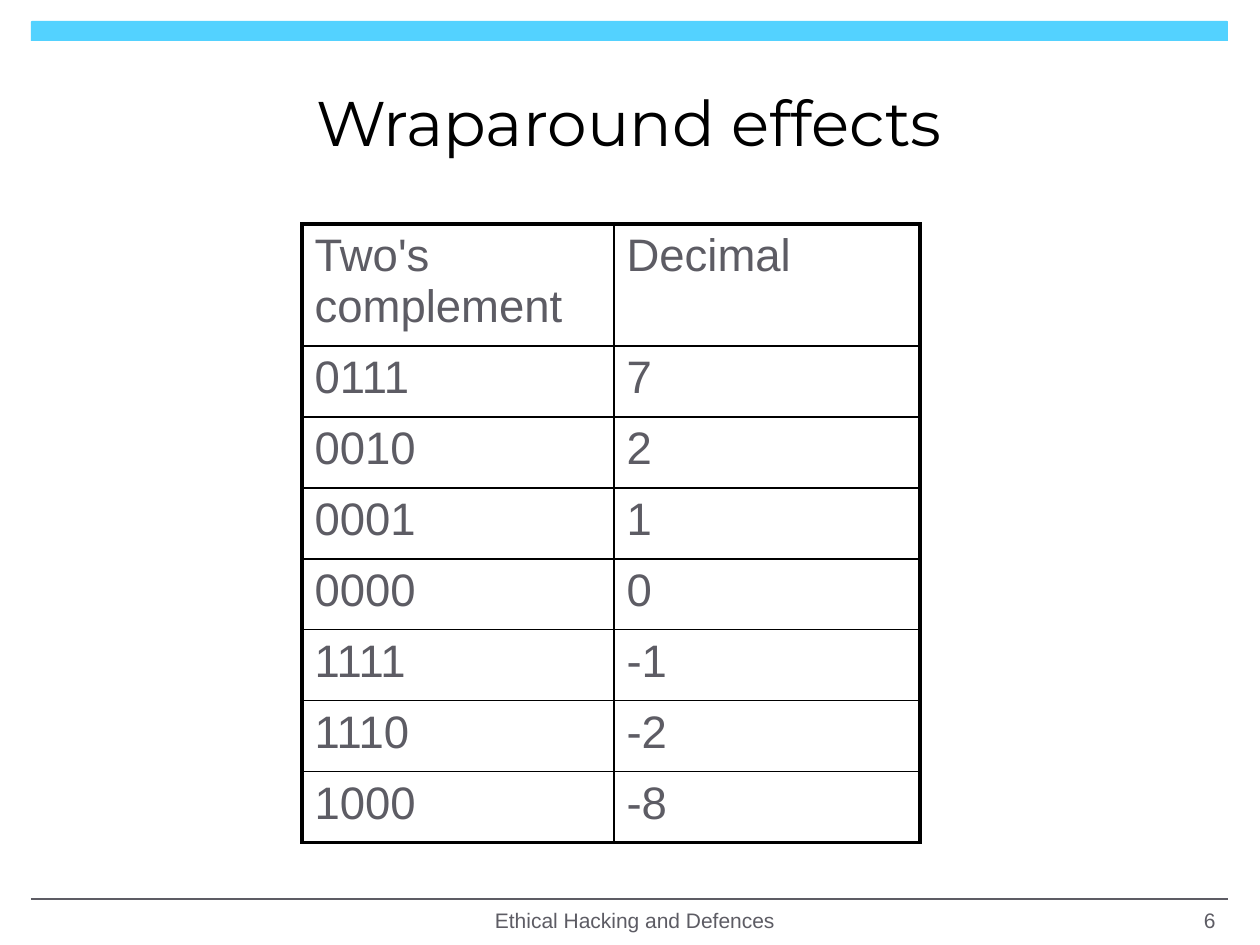
import pptx
import pptx.util
import pptx.dml.color
import pptx.enum.shapes
import pptx.enum.text
import pptx.oxml

SCALE = 914400 / 126
GREY = "5D5C64"
BLACK = "000000"
ALIGN = pptx.enum.text.PP_ALIGN
MIDDLE = pptx.enum.text.MSO_ANCHOR.MIDDLE
ROWS = [
    ("Two's complement", "Decimal"),
    ("0111", "7"),
    ("0010", "2"),
    ("0001", "1"),
    ("0000", "0"),
    ("1111", "-1"),
    ("1110", "-2"),
    ("1000", "-8"),
]


def px(size):
    return pptx.util.Emu(round(size * SCALE))


def color(code):
    return pptx.dml.color.RGBColor.from_string(code)


def write(frame, text, size, font="Arial", code=GREY, align=ALIGN.LEFT):
    frame.word_wrap = True
    para = frame.paragraphs[0]
    para.alignment = align
    run = para.add_run()
    run.text = text
    run.font.name = font
    run.font.size = pptx.util.Pt(size)
    run.font.bold = False
    run.font.color.rgb = color(code)


def label(slide, box, text, align):
    frame = slide.shapes.add_textbox(*map(px, box)).text_frame
    frame.vertical_anchor = MIDDLE
    write(frame, text, 12, align=align)


def header(slide, box):
    left, top, width, height = box
    kind = pptx.enum.shapes.MSO_SHAPE.ROUND_2_SAME_RECTANGLE
    bar = slide.shapes.add_shape(kind, px(left), px(top), px(width), px(20))
    bar.adjustments[0] = 0.05
    bar.adjustments[1] = 0
    bar.shadow.inherit = False
    bar.fill.solid()
    bar.fill.fore_color.rgb = color("53D2FF")
    bar.line.fill.background()

    title = slide.shapes.title
    title.left, title.top = px(left + 10), px(top + 37)
    title.width, title.height = px(width - 21), px(height - 37)
    title.text_frame.vertical_anchor = MIDDLE
    write(title.text_frame, "Wraparound effects", 36, "Montserrat", BLACK, ALIGN.CENTER)


def footer(slide, box):
    left, top, width, height = box
    kind = pptx.enum.shapes.MSO_CONNECTOR.STRAIGHT
    rule = slide.shapes.add_connector(kind, px(left), px(top), px(left + width), px(top))
    rule.line.color.rgb = color(GREY)
    rule.line.width = pptx.util.Pt(1)
    props = rule._element.spPr
    props.append(props.makeelement(pptx.oxml.ns.qn("a:effectLst"), {}))
    label(slide, (left + 368, top - 1, 472, height), "Ethical Hacking and Defences", ALIGN.CENTER)
    label(slide, (left + width - 294, top - 1, 294, height), "6", ALIGN.RIGHT)


def border(cell, side, points):
    space = pptx.oxml.ns.nsdecls("a")
    width = pptx.util.Pt(points)
    return pptx.oxml.parse_xml(
        f'<a:{side} {space} w="{width}"><a:solidFill><a:srgbClr val="{BLACK}"/>'
        f'</a:solidFill><a:prstDash val="solid"/></a:{side}>'
    )


def grid(slide, box):
    left, top, width, height = box
    count = len(ROWS)
    table = slide.shapes.add_table(count, 2, *map(px, box)).table
    table.first_row = False
    table.horz_banding = False
    table.columns[0].width = px(312)
    table.columns[1].width = px(width - 312)
    body = 71
    for row in table.rows:
        row.height = px(body)
    table.rows[0].height = px(height - body * (count - 1))

    for down, texts in enumerate(ROWS):
        for across, text in enumerate(texts):
            cell = table.cell(down, across)
            write(cell.text_frame, text, 26)
            cell.fill.background()
            edges = {
                "lnL": across == 0,
                "lnR": across == 1,
                "lnT": down == 0,
                "lnB": down == count - 1,
            }
            props = cell._tc.get_or_add_tcPr()
            for spot, (side, outer) in enumerate(edges.items()):
                props.insert(spot, border(cell, side, 2.25 if outer else 1))


def main():
    deck = pptx.Presentation()
    deck.slide_width, deck.slide_height = px(1260), px(945)
    slide = deck.slides.add_slide(deck.slide_layouts[5])
    header(slide, (31, 21, 1197, 164))
    footer(slide, (31, 899, 1197, 44))
    grid(slide, (302, 224, 618, 610))
    deck.save("out.pptx")


if __name__ == "__main__":
    main()
